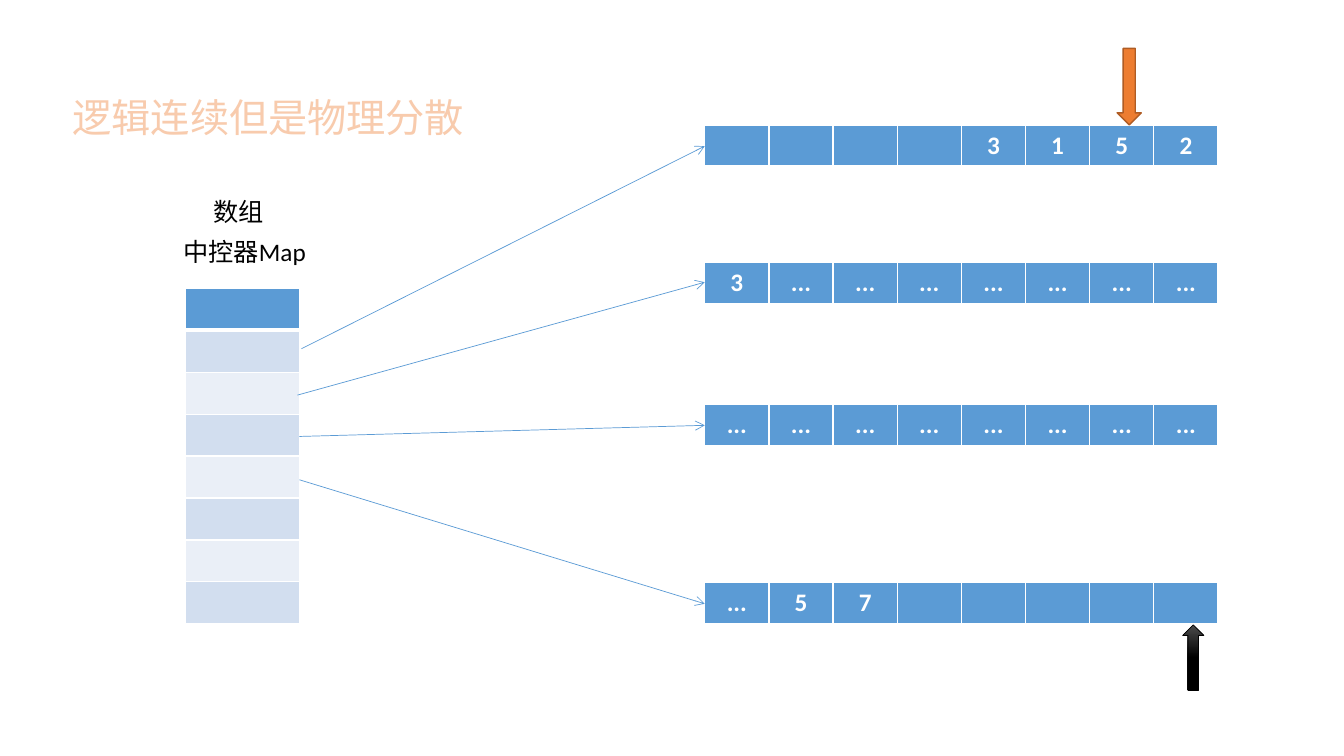
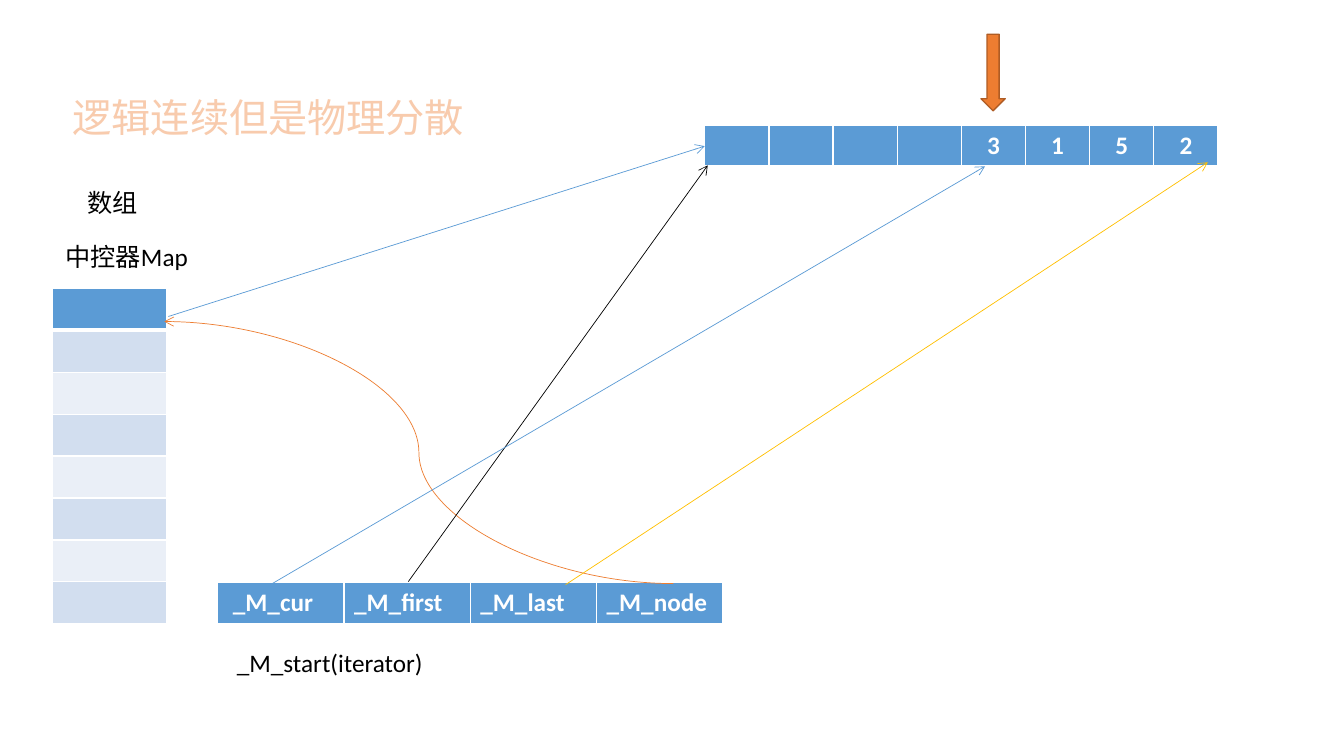
import copy
from dataclasses import dataclass

import lxml.etree
import pptx
import pptx.dml.color
import pptx.enum.shapes
import pptx.enum.text
import pptx.oxml
import pptx.oxml.ns
import pptx.util

Inches, Pt = pptx.util.Inches, pptx.util.Pt
SHAPE = pptx.enum.shapes.MSO_SHAPE
CONNECTOR = pptx.enum.shapes.MSO_CONNECTOR
ALIGN = pptx.enum.text.PP_ALIGN
qn = pptx.oxml.ns.qn


@dataclass(frozen=True)
class Theme:
    font: str = "Calibri"
    title_size: int = 28
    text_size: int = 18
    title: str = "F8CBAD"
    blue: str = "5B9BD5"
    band_dark: str = "D2DEEF"
    band_light: str = "EAEFF7"
    orange: str = "ED7D31"
    orange_dark: str = "AF5C24"
    gold: str = "FFC000"
    grey: str = "4B4B4B"
    black: str = "000000"
    white: str = "FFFFFF"


T = Theme()
TITLE = "逻辑连续但是物理分散"
BUFFER_LEFT, BUFFER_WIDTH, ROW = 6.99, 5.09, 0.42
FIRST_BUFFER = ["", "", "", "", "3", "1", "5", "2"]


def rgb(color):
    return pptx.dml.color.RGBColor.from_string(color)


def sub(parent, tag, **attrs):
    return lxml.etree.SubElement(parent, qn(tag), attrs)


def write(tf, text, size=T.text_size, color=T.black, bold=False, align=ALIGN.LEFT):
    p = tf.paragraphs[0]
    p.alignment = align
    r = p.add_run()
    r.text = text
    r.font.name, r.font.size, r.font.bold = T.font, Pt(size), bold
    r.font.color.rgb = rgb(color)
    return r


def fit(tf):
    tf.word_wrap = True
    tf.auto_size = pptx.enum.text.MSO_AUTO_SIZE.SHAPE_TO_FIT_TEXT
    tf.vertical_anchor = pptx.enum.text.MSO_ANCHOR.TOP


# Title and labels
def add_title(s):
    sp = s.shapes.title
    sp.left, sp.top, sp.width, sp.height = map(Inches, (0.62, 0.88, 4.52, 0.57))
    fit(sp.text_frame)
    r = write(sp.text_frame, TITLE, size=T.title_size, color=T.title)
    rpr = r.font._element
    ln = pptx.oxml.parse_xml(
        f'<a:ln {pptx.oxml.ns.nsdecls("a")} w="{Pt(1.75)}"><a:solidFill>'
        f'<a:srgbClr val="{T.orange}"/></a:solidFill></a:ln>')
    rpr.insert(0, ln)


def add_label(s, left, top, width, text, indent=0.0):
    sp = s.shapes.add_textbox(*map(Inches, (left, top, width, 0.4)))
    fit(sp.text_frame)
    sp.text_frame.margin_left = Inches(0.1 + indent)
    write(sp.text_frame, text)


# Tables
def set_borders(cell, **widths):
    tcpr = cell._tc.get_or_add_tcPr()
    for i, side in enumerate("LRTB"):
        ln = lxml.etree.Element(qn("a:ln" + side), w=str(Pt(widths.get(side, 1))))
        sub(sub(ln, "a:solidFill"), "a:srgbClr", val=T.white)
        tcpr.insert(i, ln)


def add_grid(s, box, rows, cols):
    tbl = s.shapes.add_table(rows, cols, *map(Inches, box)).table
    for i in range(rows):
        for j in range(cols):
            cell = tbl.cell(i, j)
            band = T.band_dark if i % 2 else T.band_light
            cell.fill.solid()
            cell.fill.fore_color.rgb = rgb(band if i else T.blue)
            set_borders(cell, T=3 if i == 1 else 1, B=1 if i else 3)
    return tbl


def add_buffer(s, top, values, left=BUFFER_LEFT, width=BUFFER_WIDTH, align=ALIGN.CENTER):
    tbl = add_grid(s, (left, top, width, ROW), 1, len(values))
    for j, value in enumerate(values):
        if value:
            write(tbl.cell(0, j).text_frame, value, color=T.white, bold=True, align=align)
    return tbl


def add_map(s, left):
    add_grid(s, (left, 2.86, 1.13, 3.33), 8, 1)


# Arrows
def add_arrow(s, start, end, color=T.blue, kind=CONNECTOR.STRAIGHT):
    cx = s.shapes.add_connector(kind, *map(Inches, start + end))
    cx.line.color.rgb = rgb(color)
    cx.line.width = Pt(0.5)
    sub(cx.line._get_or_add_ln(), "a:tailEnd", type="arrow")
    sub(cx._element.spPr, "a:effectLst")


def add_marker(s, kind, box, line, weight):
    sp = s.shapes.add_shape(kind, *map(Inches, box))
    sp.shadow.inherit = False
    sp.line.color.rgb = rgb(line)
    sp.line.width = Pt(weight)
    return sp


def add_down_marker(s, left, top):
    sp = add_marker(s, SHAPE.DOWN_ARROW, (left, top, 0.24, 0.76), T.orange_dark, 1)
    sp.fill.solid()
    sp.fill.fore_color.rgb = rgb(T.orange)


def add_up_marker(s, left, top):
    sp = add_marker(s, SHAPE.UP_ARROW, (left, top, 0.21, 0.65), T.black, 0.5)
    sp.fill.gradient()
    sp.fill.gradient_angle = 270
    stops = sp._element.spPr.find(".//" + qn("a:gsLst"))
    stops.append(copy.deepcopy(stops[-1]))
    for stop, position, color in zip(sp.fill.gradient_stops, (0, 0.5, 1),
                                     (T.grey, T.black, T.black)):
        stop.position = position
        stop.color.rgb = rgb(color)


# Slides
def new_slide(prs):
    s = prs.slides.add_slide(prs.slide_layouts[5])
    add_title(s)
    add_buffer(s, 1.24, FIRST_BUFFER)
    return s


def build_buffers(prs):
    s = new_slide(prs)
    add_buffer(s, 2.6, ["3"] + ["..."] * 7)
    add_buffer(s, 4.01, ["..."] * 8)
    add_buffer(s, 5.78, ["...", "5", "7"] + [""] * 5)
    add_down_marker(s, 11.08, 0.48)
    add_up_marker(s, 11.73, 6.2)
    add_label(s, 1.72, 2.3, 2.09, "中控器Map")
    add_label(s, 1.8, 1.9, 1.16, "数组", indent=0.22)
    add_map(s, 1.84)
    links = [((2.99, 3.46), 1.45), ((2.95, 3.92), 2.8),
             ((2.97, 4.33), 4.22), ((2.97, 4.76), 5.99)]
    for start, y in links:
        add_arrow(s, start, (BUFFER_LEFT, y))


def build_iterator(prs):
    s = new_slide(prs)
    add_down_marker(s, 9.73, 0.34)
    add_label(s, 0.55, 2.34, 2.09, "中控器Map")
    add_label(s, 0.55, 1.81, 1.16, "数组", indent=0.22)
    add_map(s, 0.52)
    add_arrow(s, (1.67, 3.14), (BUFFER_LEFT, 1.45))
    fields = add_buffer(s, 5.78, ["_M_cur", "_M_first", "_M_last", "_M_node"],
                        left=2.16, width=5.01, align=ALIGN.LEFT)
    fields.cell(0, 0).margin_left = Inches(0.15)
    add_label(s, 2.25, 6.37, 2.08, "_M_start(iterator)")
    # Field pointers
    add_arrow(s, (6.68, 5.79), (1.63, 3.19), T.orange, CONNECTOR.CURVE)
    add_arrow(s, (4.05, 5.77), (7.02, 1.64), T.black)
    add_arrow(s, (5.61, 5.8), (11.98, 1.61), T.gold)
    add_arrow(s, (2.7, 5.79), (9.77, 1.65))


prs = pptx.Presentation()
prs.slide_width, prs.slide_height = Inches(13.33), Inches(7.5)
build_buffers(prs)
build_iterator(prs)
prs.save("out.pptx")
